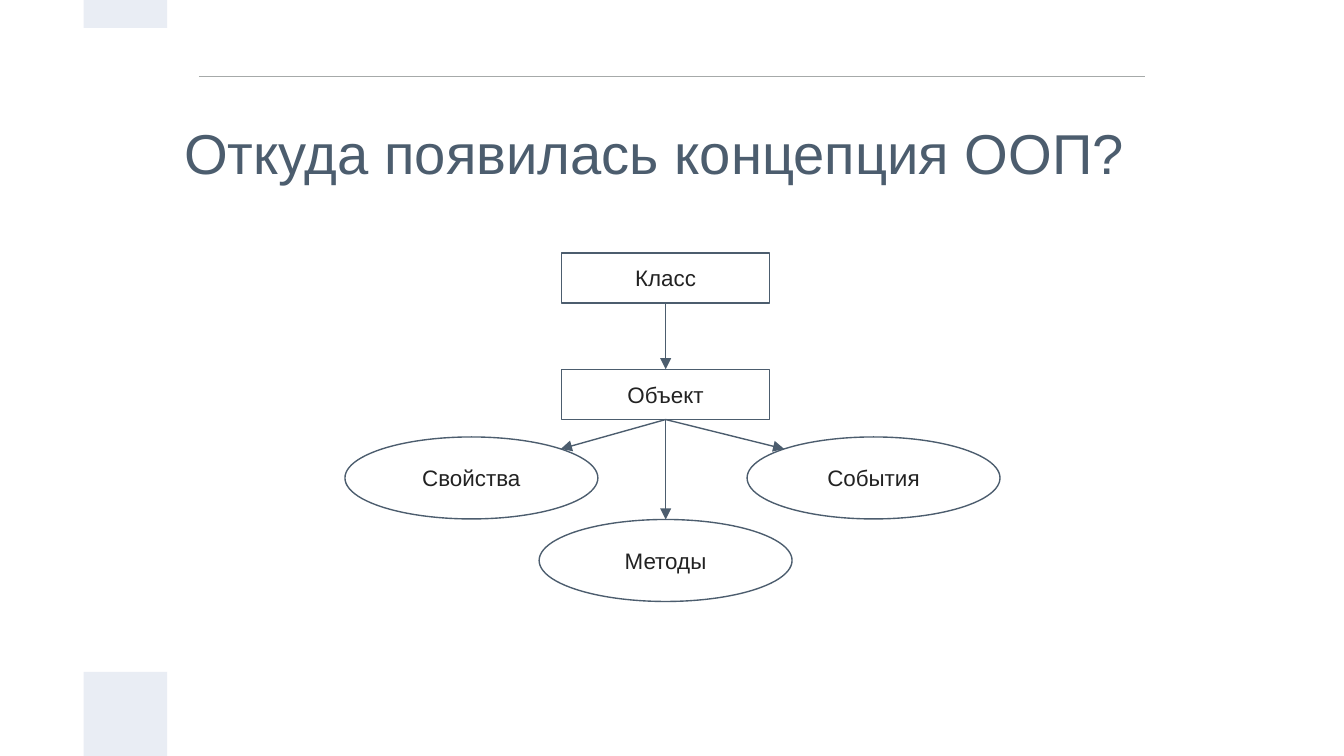
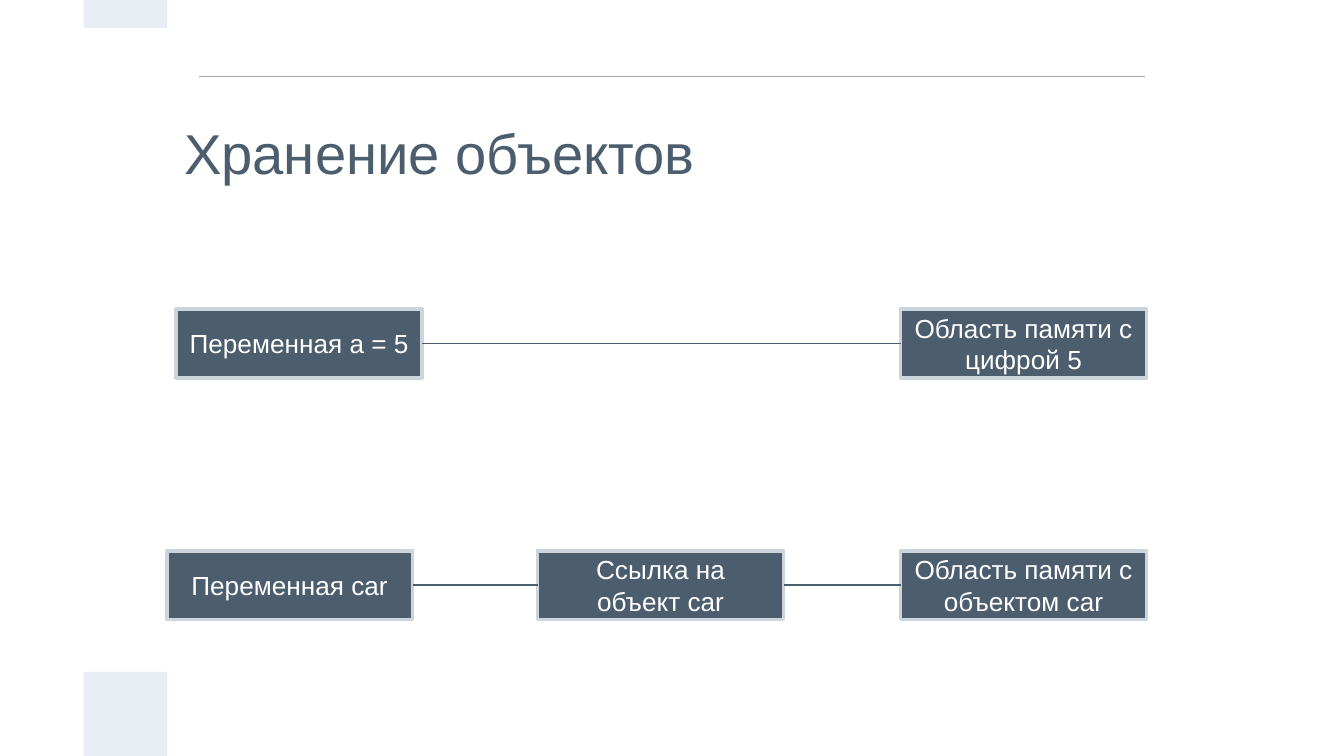
from math import sqrt

from lxml import etree
from pptx import Presentation
from pptx.dml.color import RGBColor
from pptx.enum.shapes import MSO_CONNECTOR, MSO_SHAPE
from pptx.enum.text import MSO_ANCHOR, PP_ALIGN
from pptx.oxml.ns import qn
from pptx.util import Cm, Pt

RECT, OVAL = MSO_SHAPE.RECTANGLE, MSO_SHAPE.OVAL
LINE = MSO_CONNECTOR.STRAIGHT
MIDDLE = MSO_ANCHOR.MIDDLE
LEFT, CENTER = PP_ALIGN.LEFT, PP_ALIGN.CENTER
TOP_SIDE, LEFT_SIDE, BOTTOM_SIDE, RIGHT_SIDE = range(4)

FONT = "Arial"
COLORS = {
    "slate": "4C5D6E",
    "edge": "CCD4DC",
    "band": "E9EDF4",
    "rule": "A6AAA9",
    "ink": "222222",
    "white": "FFFFFF",
}


def color(name):
    return RGBColor.from_string(COLORS[name])


def write(shape, text, size, tone, align, pad):
    """Fill the shape with one paragraph; pad is (side, top and bottom) in cm."""
    frame = shape.text_frame
    frame.word_wrap = True
    frame.vertical_anchor = MIDDLE
    frame.margin_left = frame.margin_right = Cm(pad[0])
    frame.margin_top = frame.margin_bottom = Cm(pad[1])
    par = frame.paragraphs[0]
    par.text = text
    par.alignment = align
    par.font.name = FONT
    par.font.size = Pt(size)
    par.font.color.rgb = color(tone)


def add_form(slide, kind, x, y, w, h, fill=None, edge=None, width=0.75):
    form = slide.shapes.add_shape(kind, Cm(x), Cm(y), Cm(w), Cm(h))
    form.shadow.inherit = False
    if fill:
        form.fill.solid()
        form.fill.fore_color.rgb = color(fill)
    else:
        form.fill.background()
    if edge:
        form.line.color.rgb = color(edge)
        form.line.width = Pt(width)
    else:
        form.line.fill.background()
    return form


def add_line(slide, start, end, tone="slate", arrow=False):
    link = slide.shapes.add_connector(LINE, *start, *end)
    link.line.color.rgb = color(tone)
    link.line.width = Pt(0.75)
    if arrow:
        tail = etree.SubElement(link.line._get_or_add_ln(), qn("a:tailEnd"))
        tail.set("type", "triangle")
    etree.SubElement(link._element.spPr, qn("a:effectLst"))
    return link


def join(slide, first, side, second, other, arrow=False):
    link = add_line(slide, (0, 0), (0, 0), arrow=arrow)
    link.begin_connect(first, side)
    link.end_connect(second, other)


def point_at(slide, box, oval, sign):
    """Arrow from the box's foot to the oval's upper left (-1) or right (1)."""
    start = box.left + box.width // 2, box.top + box.height
    x = oval.left + oval.width / 2 * (1 + sign / sqrt(2))
    y = oval.top + oval.height / 2 * (1 - 1 / sqrt(2))
    link = add_line(slide, start, (int(x), int(y)), arrow=True)
    link.begin_connect(box, BOTTOM_SIDE)


def add_slide(deck, title):
    slide = deck.slides.add_slide(deck.slide_layouts[6])
    add_line(slide, (Cm(3.76), Cm(1.45)), (Cm(21.64), Cm(1.45)), "rule")
    for y, h in ((12.7, 1.59), (0, 0.53)):
        add_form(slide, RECT, 1.58, y, 1.58, h, fill="band")
    head = slide.shapes.add_textbox(Cm(3.15), Cm(1.6), Cm(19.05), Cm(2.54))
    write(head, title, 30.1, "slate", LEFT, (0.33, 0.33))
    return slide


def add_node(slide, kind, text, mid, y, w, h):
    node = add_form(slide, kind, mid - w / 2, y, w, h, edge="slate")
    write(node, text, 12, "ink", CENTER, (0.25, 0.25))
    return node


def add_chain(slide, y, cells):
    """Row of boxes, each joined to the next one."""
    boxes = []
    for x, text in cells:
        box = add_form(slide, RECT, x, y, 4.65, 1.3, "slate", "edge", 2)
        write(box, text, 14, "white", CENTER, (0.25, 0.13))
        boxes.append(box)
    for first, second in zip(boxes, boxes[1:]):
        join(slide, first, RIGHT_SIDE, second, LEFT_SIDE)


def add_origin(deck):
    slide = add_slide(deck, "Откуда появилась концепция ООП?")
    mid, box, oval = 12.58, (3.94, 0.95), (4.78, 1.55)
    kind = add_node(slide, RECT, "Класс", mid, 4.78, *box)
    thing = add_node(slide, RECT, "Объект", mid, 6.98, *box)
    traits = add_node(slide, OVAL, "Свойства", 8.91, 8.26, *oval)
    events = add_node(slide, OVAL, "События", 16.51, 8.26, *oval)
    methods = add_node(slide, OVAL, "Методы", mid, 9.82, *oval)
    join(slide, kind, BOTTOM_SIDE, thing, TOP_SIDE, arrow=True)
    point_at(slide, thing, traits, 1)
    point_at(slide, thing, events, -1)
    join(slide, thing, BOTTOM_SIDE, methods, TOP_SIDE, arrow=True)


def add_storage(deck):
    slide = add_slide(deck, "Хранение объектов")
    last = 17.02
    add_chain(slide, 5.84, [
        (3.33, "Переменная a = 5"),
        (last, "Область памяти с цифрой 5"),
    ])
    add_chain(slide, 10.41, [
        (3.15, "Переменная car"),
        (10.16, "Ссылка на объект car"),
        (last, "Область памяти с объектом car"),
    ])


def main():
    deck = Presentation()
    deck.slide_width, deck.slide_height = Cm(25.4), Cm(14.29)
    add_origin(deck)
    add_storage(deck)
    deck.save("out.pptx")


if __name__ == "__main__":
    main()
